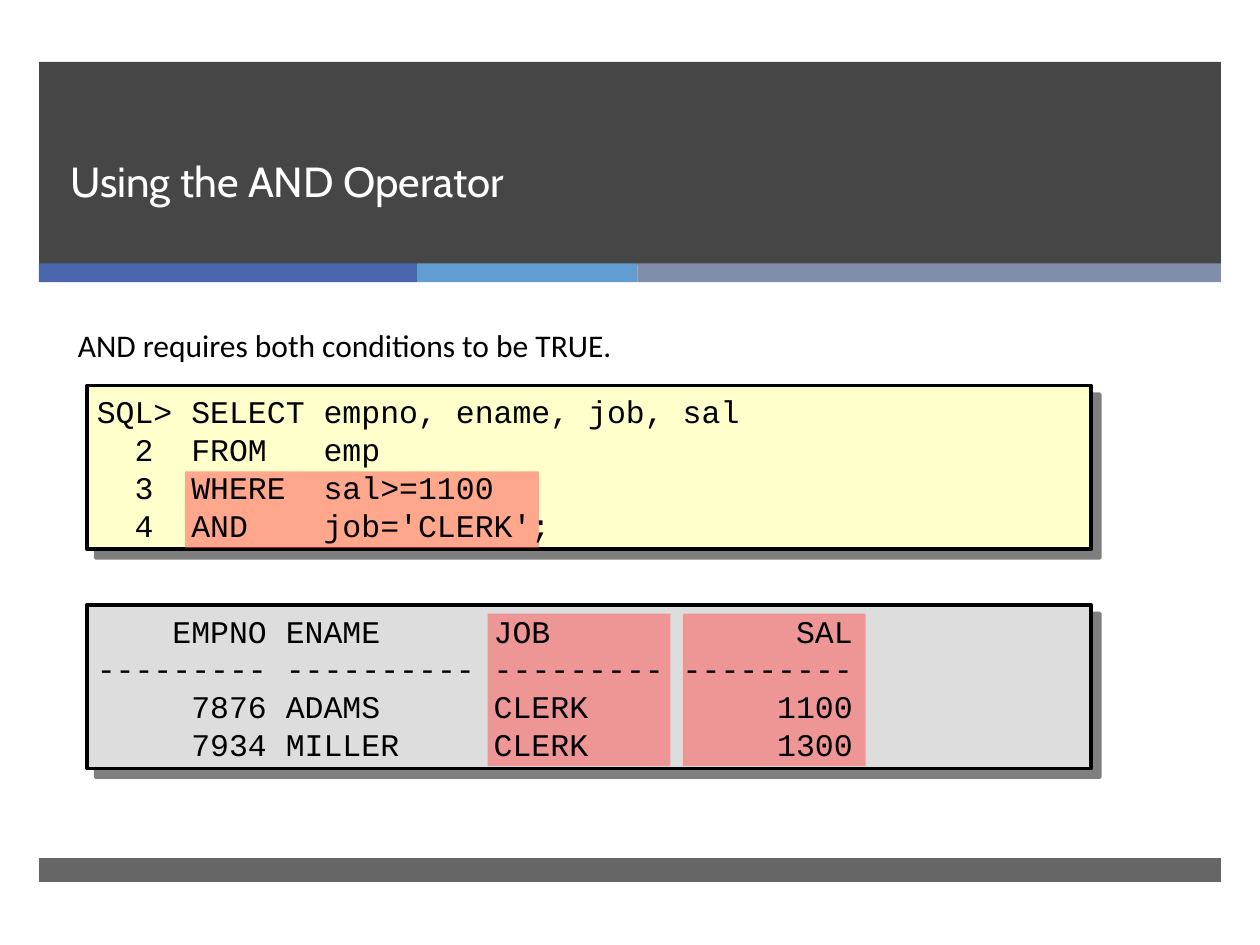
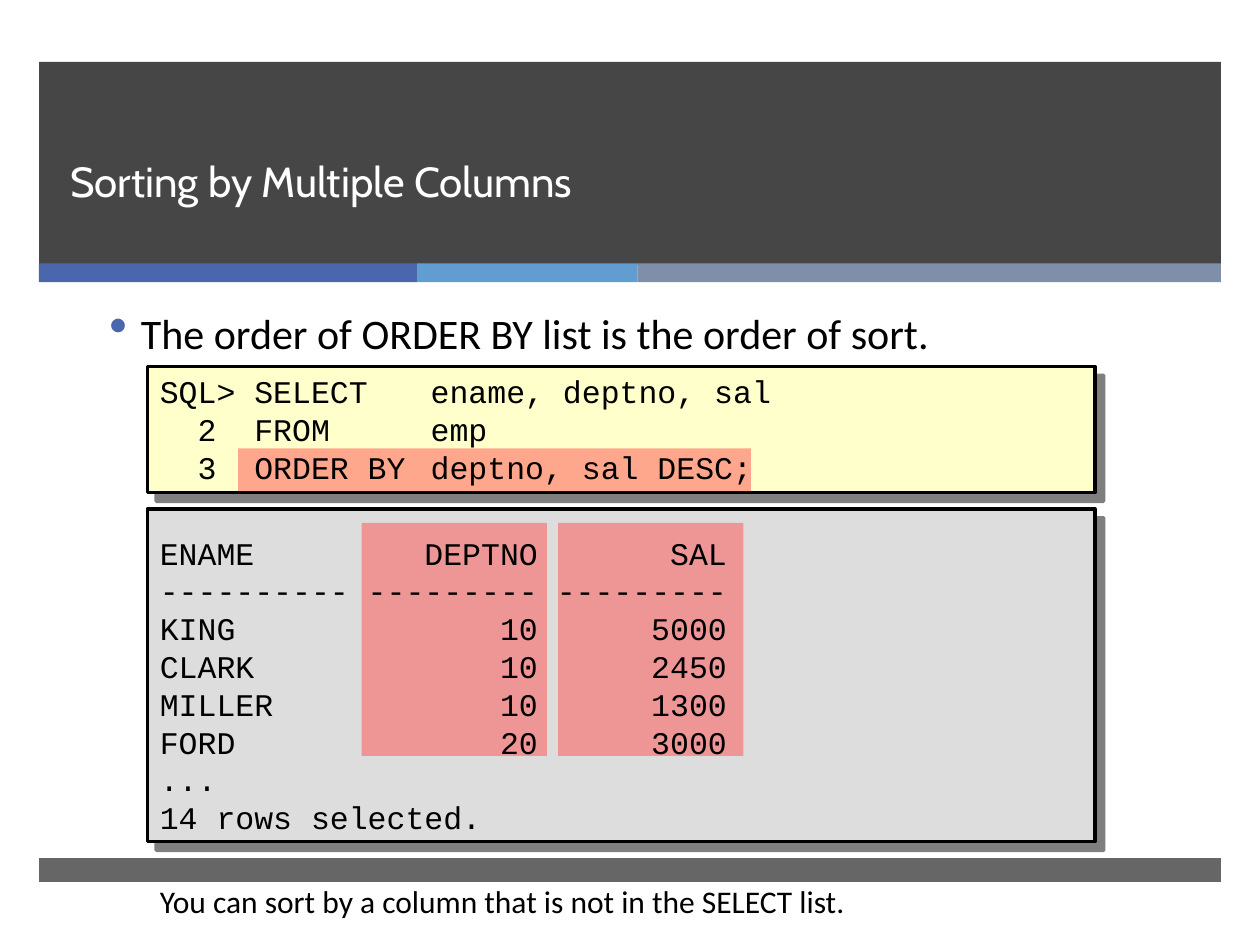
"""Build two SQL lesson slides about filtering and sorting rows."""
from dataclasses import dataclass, field

from lxml import etree
from pptx import Presentation
from pptx.dml import color
from pptx.enum import shapes, text
from pptx.oxml import ns
from pptx import util as u

COLORS = {
    "band": "262626",
    "blue": "4A66AC",
    "sky": "629DD1",
    "slate": "7F8FA9",
    "code": "FFFFCC",
    "result": "DDDDDD",
    "highlight": "FF5050",
    "ink": "000000",
    "paper": "FFFFFF",
}
CHARACTER_WIDTH = 0.15


@dataclass
class Area:
    left: float
    top: float
    width: float
    height: float

    def lengths(self) -> list[u.Length]:
        return [u.Inches(n) for n in (self.left, self.top, self.width, self.height)]


@dataclass
class Bar:
    area: Area
    fill: str
    opacity: int = 100


@dataclass
class Words:
    area: Area
    content: str
    size: int = 18
    font: str = "Calibri"
    color: str = "ink"
    anchor: text.MSO_ANCHOR = text.MSO_ANCHOR.TOP
    line_spacing: float | u.Length | None = None
    bullet: bool = False


@dataclass
class Stop:
    column: float
    align: str = "l"


@dataclass
class Listing:
    panel: Area
    text_area: Area
    fill: str
    lines: list[str]
    stops: list[Stop]
    highlights: list[Area] = field(default_factory=list)


@dataclass
class Lesson:
    title: str
    notes: list[Words]
    listings: list[Listing]


BARS = [
    Bar(Area(0.31, 0.49, 9.38, 1.61), "band", 85),
    Bar(Area(0.31, 2.09, 3, 0.15), "blue"),
    Bar(Area(3.31, 2.09, 1.75, 0.15), "sky"),
    Bar(Area(5.06, 2.09, 4.63, 0.15), "slate"),
    Bar(Area(0.31, 6.81, 9.38, 0.19), "band", 70),
]

LESSONS = [
    Lesson(
        "Using the AND Operator",
        [Words(Area(0.52, 2.56, 4.8, 0.39), "AND requires both conditions to be TRUE.",
               line_spacing=0.95)],
        [
            Listing(
                Area(0.69, 3.06, 7.97, 1.3), Area(0.67, 3.05, 8, 1.33), "code",
                ["SQL>\tSELECT\tempno, ename, job, sal", "\t2\tFROM\temp",
                 "\t3\tWHERE\tsal>=1100", "\t4\tAND\tjob='CLERK';"],
                [Stop(2), Stop(5), Stop(12)],
                [Area(1.47, 3.74, 2.81, 0.61)],
            ),
            Listing(
                Area(0.69, 4.8, 7.97, 1.3), Area(0.67, 4.79, 8, 1.33), "result",
                ["\tEMPNO\tENAME\tJOB\tSAL", "--------- ---------- --------- ---------",
                 "\t7876\tADAMS\tCLERK\t1100", "\t7934\tMILLER\tCLERK\t1300"],
                [Stop(9, "r"), Stop(10), Stop(21), Stop(40, "r")],
                [Area(left, 4.87, 1.45, 1.21) for left in (3.87, 5.42)],
            ),
        ],
    ),
    Lesson(
        "Sorting by Multiple Columns",
        [
            Words(Area(0.52, 2.39, 8.48, 0.5),
                  "The order of ORDER BY list is the order of sort.", 24, bullet=True),
            Words(Area(1.17, 6.95, 8.05, 0.4),
                  "You can sort by a column that is not in the SELECT list."),
        ],
        [
            Listing(
                Area(1.17, 2.91, 7.52, 1), Area(1.17, 2.89, 7.55, 1.03), "code",
                ["SQL>\tSELECT\tename, deptno, sal", "\t2\tFROM\temp",
                 "\t3\tORDER BY\tdeptno, sal DESC;"],
                [Stop(2), Stop(5), Stop(14.33)],
                [Area(1.89, 3.56, 4.07, 0.34)],
            ),
            Listing(
                Area(1.17, 4.04, 7.52, 2.64), Area(1.17, 3.72, 7.55, 3.43), "result",
                ["ENAME\tDEPTNO\tSAL", "---------- --------- ---------",
                 "KING\t10\t5000", "CLARK\t10\t2450", "MILLER\t10\t1300",
                 "FORD\t20\t3000", "...", "14 rows selected."],
                [Stop(20, "r"), Stop(30, "r")],
                [Area(left, 4.15, 1.47, 1.85) for left in (2.87, 4.43)],
            ),
        ],
    ),
]


def rgb(name: str) -> color.RGBColor:
    return color.RGBColor.from_string(COLORS[name])


def add_child(parent, tag: str, **attributes):
    values = {key: str(value) for key, value in attributes.items()}
    return etree.SubElement(parent, ns.qn(tag), values)


def draw_bar(page, bar: Bar):
    box = page.shapes.add_shape(shapes.MSO_SHAPE.RECTANGLE, *bar.area.lengths())
    box.shadow.inherit = False
    box.fill.solid()
    box.fill.fore_color.rgb = rgb(bar.fill)
    box.line.fill.background()
    if bar.opacity < 100:
        tint = box._element.spPr.find(".//" + ns.qn("a:srgbClr"))
        add_child(tint, "a:alpha", val=bar.opacity * 1000)
    return box


def draw_panel(page, listing: Listing) -> None:
    box = draw_bar(page, Bar(listing.panel, listing.fill))
    box.line.color.rgb = rgb("ink")
    box.line.width = u.Pt(2)
    effects = box._element.spPr.find(ns.qn("a:effectLst"))
    shadow = add_child(effects, "a:outerShdw", dist=u.Pt(7.1), dir=45 * 60000,
                       algn="ctr", rotWithShape=0)
    tint = add_child(shadow, "a:srgbClr", val=COLORS["ink"])
    add_child(tint, "a:alpha", val=50000)


def add_bullet(para) -> None:
    layout = para._p.get_or_add_pPr()
    layout.set("marL", str(u.Inches(0.5)))
    layout.set("indent", str(-u.Inches(0.25)))
    add_child(add_child(layout, "a:buClr"), "a:srgbClr", val=COLORS["blue"])
    add_child(layout, "a:buSzPct", val=125000)
    add_child(layout, "a:buChar", char="•")


def draw_words(page, words: Words):
    box = page.shapes.add_textbox(*words.area.lengths())
    frame = box.text_frame
    frame.word_wrap = True
    frame.vertical_anchor = words.anchor
    frame.text = words.content
    for para in frame.paragraphs:
        if words.line_spacing:
            para.line_spacing = words.line_spacing
        if words.bullet:
            add_bullet(para)
        for span in para.runs:
            span.font.name = words.font
            span.font.size = u.Pt(words.size)
            span.font.color.rgb = rgb(words.color)
    return box


def draw_listing_text(page, listing: Listing) -> None:
    box = draw_words(page, Words(listing.text_area, "\n".join(listing.lines),
                                 font="Courier New", anchor=text.MSO_ANCHOR.MIDDLE))
    for para in box.text_frame.paragraphs:
        tabs = add_child(para._p.get_or_add_pPr(), "a:tabLst")
        for stop in listing.stops:
            add_child(tabs, "a:tab", pos=u.Inches(stop.column * CHARACTER_WIDTH),
                      algn=stop.align)


def draw_lesson(deck, lesson: Lesson) -> None:
    page = deck.slides.add_slide(deck.slide_layouts[6])
    page.background.fill.solid()
    page.background.fill.fore_color.rgb = rgb("paper")
    for bar in BARS:
        draw_bar(page, bar)
    draw_words(page, Words(Area(0.46, 0.49, 8.54, 1.19), lesson.title, 24, "Cabin", "paper",
                           text.MSO_ANCHOR.BOTTOM, u.Pt(46)))
    for note in lesson.notes:
        draw_words(page, note)
    for listing in lesson.listings:
        draw_panel(page, listing)
        for area in listing.highlights:
            draw_bar(page, Bar(area, "highlight", 50))
        draw_listing_text(page, listing)


def main() -> None:
    deck = Presentation()
    deck.slide_width = u.Inches(10)
    deck.slide_height = u.Inches(7.5)
    for lesson in LESSONS:
        draw_lesson(deck, lesson)
    deck.save("out.pptx")


if __name__ == "__main__":
    main()
